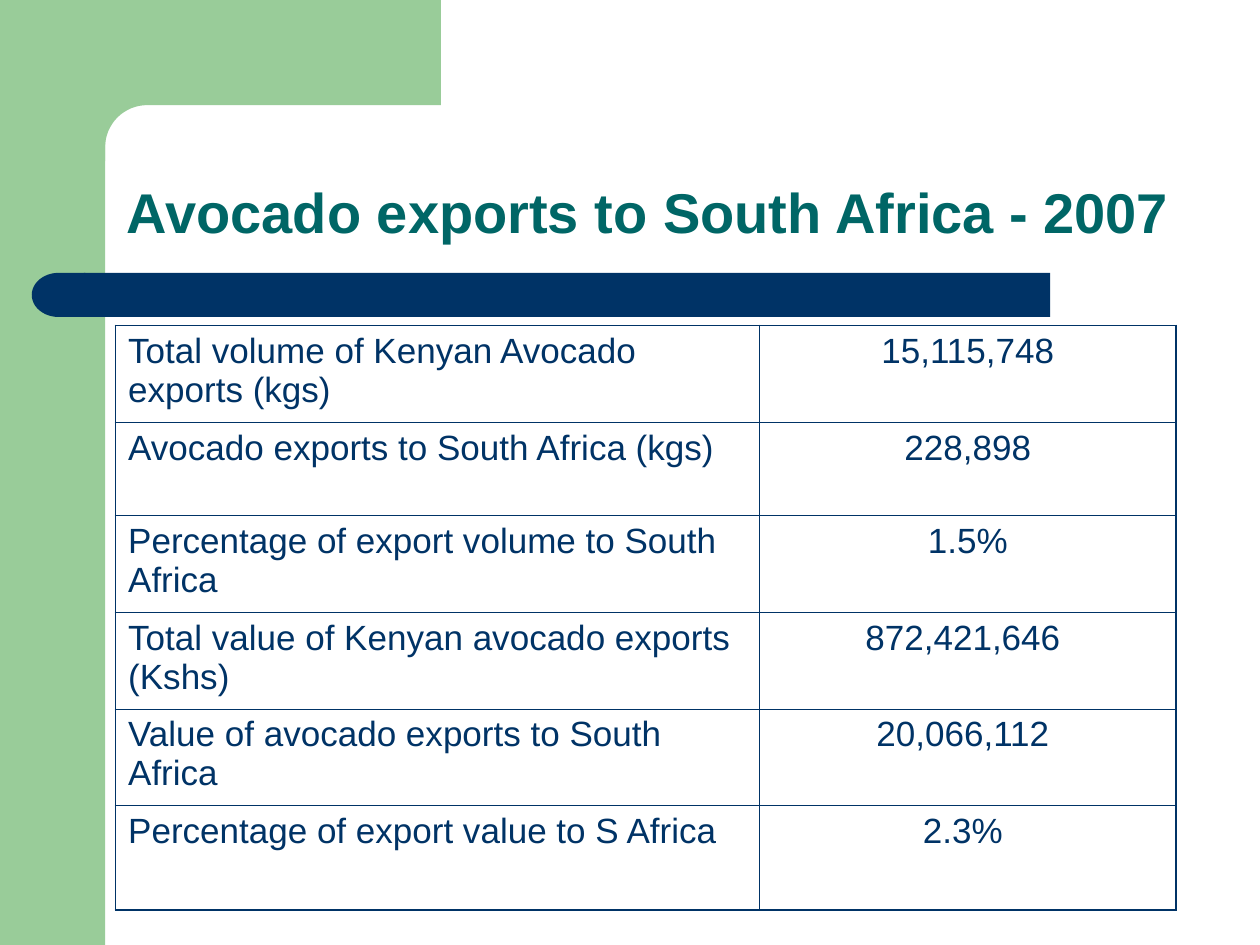
from math import cos, pi, sin

from lxml import etree
from pptx import Presentation
from pptx.dml.color import RGBColor
from pptx.enum.shapes import MSO_SHAPE
from pptx.enum.text import MSO_ANCHOR, PP_ALIGN
from pptx.oxml.ns import qn
from pptx.util import Cm, Pt

RECT = MSO_SHAPE.RECTANGLE
DELAY = MSO_SHAPE.FLOWCHART_DELAY
LEFT, CENTER = PP_ALIGN.LEFT, PP_ALIGN.CENTER
BOTTOM = MSO_ANCHOR.BOTTOM

GREEN, NAVY, TEAL = "99CC99", "003366", "006666"
THIN, THICK = 0.45, 1.08

ROWS = [
    ("Total volume of Kenyan Avocado exports (kgs)", " 15,115,748 "),
    ("Avocado exports to South Africa (kgs)", "228,898"),
    ("Percentage of export volume to South Africa", "1.5%"),
    ("Total value of Kenyan avocado exports (Kshs)", "872,421,646 "),
    ("Value of avocado exports to South Africa", "20,066,112 "),
    ("Percentage of export value to S Africa", "2.3% "),
]
WIDTHS = [12.98, 8.4]
HEIGHTS = [1.95, 1.88, 1.95, 1.95, 1.95, 2.1]


def color(code):
    return RGBColor.from_string(code)


def write(frame, text, size=20, ink=NAVY, bold=False, align=LEFT, before=0, line=1.0):
    para = frame.paragraphs[0]
    para.alignment = align
    para.space_before = Pt(before)
    para.line_spacing = line
    run = para.add_run()
    run.text = text
    font = run.font
    font.name, font.size, font.bold = "Arial", Pt(size), bold
    font.color.rgb = color(ink)


def border(cell, sides):
    """Draw cell borders; sides maps L, R, T, B in that order to point widths."""
    props = cell._tc.get_or_add_tcPr()
    for i, (side, width) in enumerate(sides.items()):
        ln = etree.Element(qn(f"a:ln{side}"), w=str(Pt(width)))
        fill = etree.SubElement(ln, qn("a:solidFill"))
        etree.SubElement(fill, qn("a:srgbClr"), val=NAVY)
        props.insert(i, ln)


class Deck:
    def __init__(self, width, height):
        self.show = Presentation()
        self.show.slide_width, self.show.slide_height = Cm(width), Cm(height)
        self.slide = self.show.slides.add_slide(self.show.slide_layouts[6])
        self.shapes = self.slide.shapes

    def paint(self, shape, fill):
        shape.shadow.inherit = False
        shape.fill.solid()
        shape.fill.fore_color.rgb = color(fill)
        shape.line.fill.background()

    def shape(self, kind, box, fill, turn=0):
        shape = self.shapes.add_shape(kind, *map(Cm, box))
        shape.rotation = turn
        self.paint(shape, fill)

    def outline(self, points, fill):
        (x, y), *rest = [(Cm(x), Cm(y)) for x, y in points]
        form = self.shapes.build_freeform(x, y)
        form.add_line_segments(rest, close=True)
        self.paint(form.convert_to_shape(), fill)

    def title(self, text, box, **style):
        frame = self.shapes.add_textbox(*map(Cm, box)).text_frame
        frame.word_wrap = True
        frame.vertical_anchor = BOTTOM
        write(frame, text, **style)

    def table(self, rows, left, top, widths, heights):
        size = map(Cm, (left, top, sum(widths), sum(heights)))
        table = self.shapes.add_table(len(rows), len(widths), *size).table
        table.first_row = table.horz_banding = False
        for col, width in zip(table.columns, widths):
            col.width = Cm(width)
        for row, height in zip(table.rows, heights):
            row.height = Cm(height)
        end, edge = len(rows) - 1, len(widths) - 1
        for r, texts in enumerate(rows):
            for c, text in enumerate(texts):
                cell = table.cell(r, c)
                cell.fill.background()
                write(cell.text_frame, text, align=CENTER if c else LEFT, before=5)
                outer = {"L": c == 0, "R": c == edge, "T": r == 0, "B": r == end}
                border(cell, {s: THICK if o else THIN for s, o in outer.items()})


def corner(x, y, radius, steps=16):
    """Points of a rounded inner corner, from its top to its left side."""
    turns = [pi / 2 * i / steps for i in range(steps + 1)]
    return [(x + radius * (1 - sin(t)), y + radius * (1 - cos(t))) for t in turns]


def main():
    deck = Deck(25.4, 19.05)
    deck.shape(RECT, (0, 0, 2.12, 19.05), GREEN)
    bend = corner(2.12, 2.12, 0.85)
    deck.outline(
        [(8.89, 0), (8.89, 2.12), *bend, (2.12, 3.25), (1.27, 3.25), (1.27, 0)], GREEN
    )
    deck.shape(RECT, (1.69, 5.5, 19.48, 0.89), NAVY)
    deck.shape(DELAY, (0.64, 5.5, 1.08, 0.89), NAVY, turn=180)
    deck.title(
        "Avocado exports to South Africa - 2007",
        (2.31, 2.31, 21.62, 2.77),
        size=32, ink=TEAL, bold=True, line=0.9,
    )
    deck.table(ROWS, 2.33, 6.56, WIDTHS, HEIGHTS)
    deck.show.save("out.pptx")


if __name__ == "__main__":
    main()
